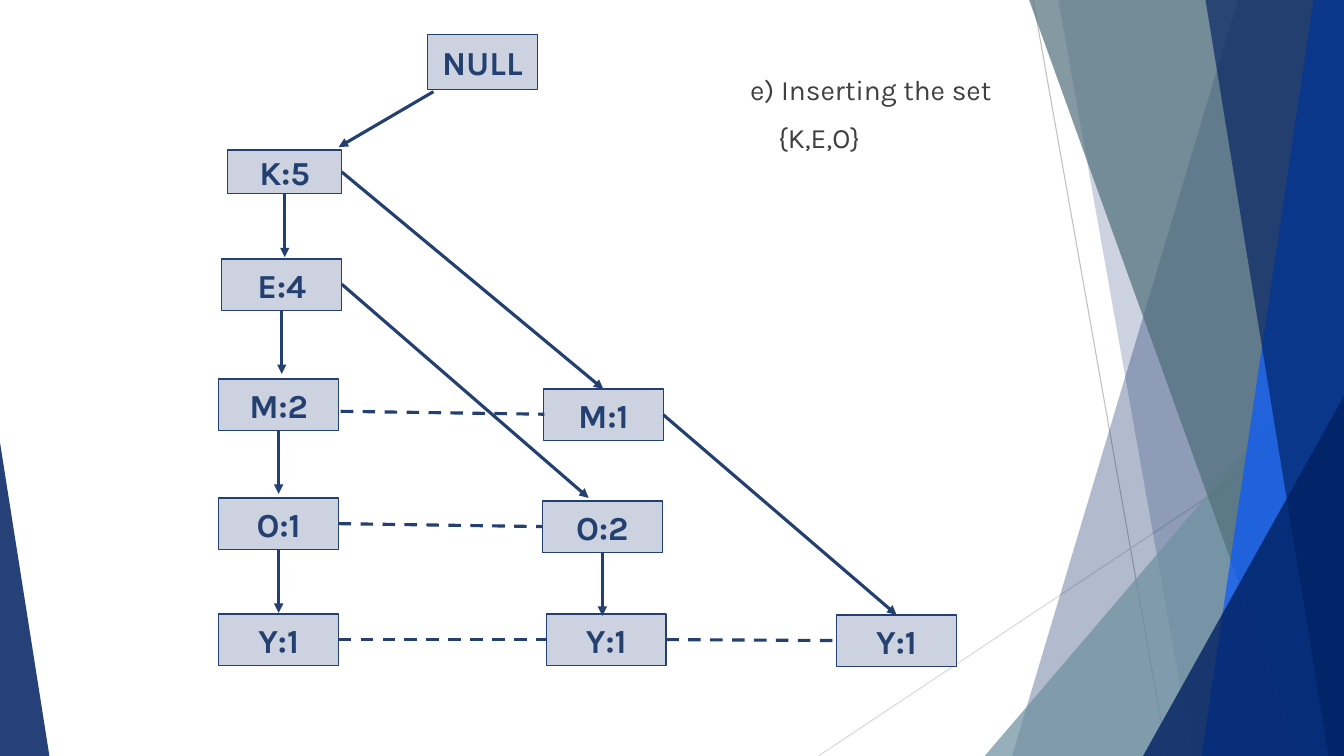
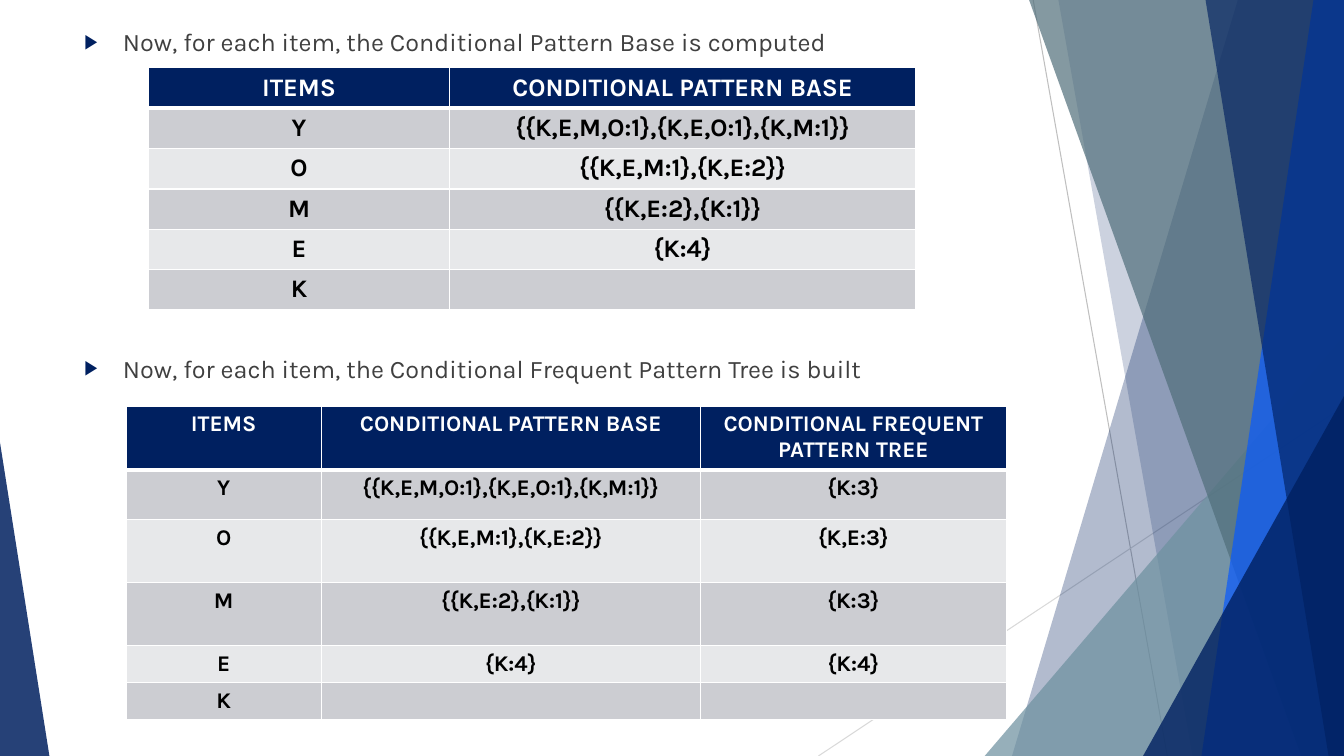
"""Build two slides on frequent pattern trees."""
from dataclasses import dataclass

from lxml import etree
from pptx import Presentation
from pptx.dml.color import RGBColor
from pptx.enum import dml, shapes, text
from pptx.oxml.ns import qn
from pptx.util import Pt


@dataclass(frozen=True)
class Theme:
    font: str = "Karla"
    navy: str = "002060"
    blue: str = "0759FF"
    teal: str = "6E91A0"
    slate: str = "506E7A"
    ink: str = "234070"
    node: str = "CCD2DF"
    body: str = "404040"
    white: str = "FFFFFF"
    black: str = "000000"
    bands: tuple = ("CCCDD2", "E7E8EA")
    rules: tuple = ("BFBFBF", "D9D9D9")
    node_size: int = 24
    note_size: int = 20
    bullet_size: int = 18
    small_size: int = 16


T = Theme()
W, H = 960, 540

GUIDES = [(738, 0, 833.8, H), (W, 290.2, 584.6, H)]
FACETS = [
    ("quad", (884.2, 722.9), T.navy, 30),
    ("quad", (756, 851.8), T.navy, 20),
    ("triangle", (703.4, 239.8, 256.6, 1), T.teal, 72),
    ("quad", (735.1, 929.5), T.slate, 70),
    ("quad", (938.2, 858.2), T.blue, 70),
    ("quad", (861.1, 949), T.navy, 65),
    ("triangle", (816.5, 283, 143.5, 1), T.navy, 80),
    ("triangle", (0, 316.1, 35.3, 0), T.navy, 85),
]

NODE_W, NODE_H = 85.7, 36.7
NODES = {
    "root": ("NULL", 305.3, 24.5, 78.5, 39.6),
    "k": ("K:5", 162.7, 107.3, 81.4, 31),
    "e": ("E:4", 158.4, 185, NODE_W, NODE_H),
    "m": ("M:2", 156.2, 270.7, NODE_W, NODE_H),
    "o": ("O:1", 156.2, 355.7, NODE_W, NODE_H),
    "y": ("Y:1", 156.2, 438.5, NODE_W, NODE_H),
    "o_mid": ("O:2", 387.4, 357.8, NODE_W, NODE_H),
    "y_mid": ("Y:1", 390.2, 438.5, NODE_W, NODE_H),
    "y_right": ("Y:1", 597.6, 439.2, NODE_W, NODE_H),
    "m_mid": ("M:1", 388.1, 277.9, NODE_W, NODE_H),
}
DROP = 45.4
DROPS = ["k", "e", "m", "o", "o_mid"]
BRANCHES = [("k", "m_mid"), ("m_mid", "y_right")]
SAME_ITEM = [("o", "o_mid"), ("y", "y_mid"), ("y_mid", "y_right")]
FREE_ARROWS = [(309.6, 65.5, 241.9, 105.1), (244.1, 203, 420.5, 355.7)]
FREE_DASHES = [(243.4, 293.8, 388.8, 295.9)]
NOTE = [("e) Inserting the set", 4.5), ("{K,E,O}", 24.5)]

BULLETS = [
    (15.1, "Now, for each item, the Conditional Pattern Base is computed"),
    (248.5, "Now, for each item, the Conditional Frequent Pattern Tree is built"),
]
HEAD = ["ITEMS", "CONDITIONAL PATTERN BASE", "CONDITIONAL FREQUENT PATTERN TREE"]
PATTERNS = [
    ("Y", "{{K,E,M,O:1},{K,E,O:1},{K,M:1}}", "{K:3}"),
    ("O", "{{K,E,M:1},{K,E:2}}", "{K,E:3}"),
    ("M", "{{K,E:2},{K:1}}", "{K:3}"),
    ("E", "{K:4}", "{K:4}"),
    ("K", "", ""),
]
TABLES = [
    (106, 48.5, [215.3, 332.6], [27.5] + [28.4] * 5, T.bullet_size),
    (90, 290, [139.5, 270.8, 218.6], [44, 35.5, 45, 45, 26, 26], T.small_size),
]


def rgb(color):
    return RGBColor.from_string(color)


def style(p, size, color, bold=False):
    for r in p.runs:
        f = r.font
        f.name, f.size, f.bold = T.font, Pt(size), bold
        f.color.rgb = rgb(color)


def add_line(s, ends, color, width, dashed=False, arrow=False):
    c = s.shapes.add_connector(shapes.MSO_CONNECTOR.STRAIGHT, *map(Pt, ends))
    c.line.color.rgb, c.line.width = rgb(color), Pt(width)
    if dashed:
        c.line.dash_style = dml.MSO_LINE.DASH
    if arrow:
        etree.SubElement(c.line._get_or_add_ln(), qn("a:tailEnd"), type="triangle")
    etree.SubElement(c._element.spPr, qn("a:effectLst"))


def add_facet(s, kind, geometry, color, opacity):
    if kind == "quad":
        top, bottom = geometry
        fb = s.shapes.build_freeform(Pt(top), 0, 1)
        fb.add_line_segments([(Pt(W), 0), (Pt(W), Pt(H)), (Pt(bottom), Pt(H))])
        sp = fb.convert_to_shape()
    else:
        x, y, w, apex = geometry
        sp = s.shapes.add_shape(shapes.MSO_SHAPE.ISOSCELES_TRIANGLE,
                                Pt(x), Pt(y), Pt(w), Pt(H - y))
        sp.adjustments[0] = apex
    sp.shadow.inherit = False
    sp.fill.solid()
    sp.fill.fore_color.rgb = rgb(color)
    clr = sp._element.spPr.find(".//" + qn("a:srgbClr"))
    etree.SubElement(clr, qn("a:alpha"), val=str(opacity * 1000))
    sp.line.fill.background()


def add_slide(prs):
    s = prs.slides.add_slide(prs.slide_layouts[6])
    for ends, color in zip(GUIDES, T.rules):
        add_line(s, ends, color, 0.75)
    for facet in FACETS:
        add_facet(s, *facet)
    return s


def add_text(s, x, y, w, h):
    tf = s.shapes.add_textbox(Pt(x), Pt(y), Pt(w), Pt(h)).text_frame
    tf.word_wrap = True
    return tf


def indent(p, left, first=0):
    pPr = p._p.get_or_add_pPr()
    pPr.set("marL", str(Pt(left)))
    pPr.set("indent", str(Pt(first)))
    return pPr


def add_node(s, label, x, y, w, h):
    sp = s.shapes.add_shape(shapes.MSO_SHAPE.RECTANGLE, Pt(x), Pt(y), Pt(w), Pt(h))
    sp.shadow.inherit = False
    sp.fill.solid()
    sp.fill.fore_color.rgb = rgb(T.node)
    sp.line.color.rgb, sp.line.width = rgb(T.ink), Pt(1)
    tf = sp.text_frame
    tf.text = label
    tf.vertical_anchor = text.MSO_ANCHOR.MIDDLE
    p = tf.paragraphs[0]
    p.alignment = text.PP_ALIGN.CENTER
    style(p, T.node_size, T.ink, True)


def site(key, side):
    _, x, y, w, h = NODES[key]
    return {"top": (x + w / 2, y), "bottom": (x + w / 2, y + h),
            "left": (x, y + h / 2), "right": (x + w, y + h / 2)}[side]


def tree_slide(prs):
    s = add_slide(prs)
    tf = add_text(s, 524.2, 48.2, 205.9, 248.4)
    for i, (line, left) in enumerate(NOTE):
        p = tf.add_paragraph() if i else tf.paragraphs[0]
        p.text = line
        p.space_before = Pt(10)
        indent(p, left)
        style(p, T.note_size, T.body)
    for node in NODES.values():
        add_node(s, *node)
    arrows = list(FREE_ARROWS)
    for key in DROPS:
        x, y = site(key, "bottom")
        arrows.append((x, y, x, y + DROP))
    arrows += [site(a, "right") + site(b, "top") for a, b in BRANCHES]
    dashes = FREE_DASHES + [site(a, "right") + site(b, "left") for a, b in SAME_ITEM]
    for ends in arrows:
        add_line(s, ends, T.ink, 2.25, arrow=True)
    for ends in dashes:
        add_line(s, ends, T.ink, 2.25, dashed=True)


def add_bullet(s, y, line):
    p = add_text(s, 53.3, y, 676.8, 30).paragraphs[0]
    p.text = line
    p.space_before = Pt(10)
    pPr = indent(p, 27.4, -27.4)
    clr = etree.SubElement(pPr, qn("a:buClr"))
    etree.SubElement(clr, qn("a:srgbClr"), val=T.navy)
    etree.SubElement(pPr, qn("a:buSzPct"), val="80000")
    etree.SubElement(pPr, qn("a:buFont"), typeface="Arial")
    etree.SubElement(pPr, qn("a:buChar"), char="▶")
    style(p, T.bullet_size, T.body)


def set_borders(cell, widths):
    tcPr = cell._tc.get_or_add_tcPr()
    for i, (side, width) in enumerate(widths.items()):
        ln = etree.Element(qn("a:ln" + side), w=str(Pt(width)))
        fill = etree.SubElement(ln, qn("a:solidFill"))
        etree.SubElement(fill, qn("a:srgbClr"), val=T.white)
        tcPr.insert(i, ln)


def add_pattern_table(s, x, y, cols, rows, size):
    tbl = s.shapes.add_table(len(rows), len(cols), Pt(x), Pt(y),
                             Pt(sum(cols)), Pt(sum(rows))).table
    for col, w in zip(tbl.columns, cols):
        col.width = Pt(w)
    for row, h in zip(tbl.rows, rows):
        row.height = Pt(h)
    for i, values in enumerate([HEAD] + PATTERNS):
        for j, value in enumerate(values[:len(cols)]):
            cell = tbl.cell(i, j)
            cell.fill.solid()
            cell.fill.fore_color.rgb = rgb(T.bands[(i - 1) % 2] if i else T.navy)
            set_borders(cell, {"L": 1, "R": 1, "T": 3 if i == 1 else 1, "B": 1 if i else 3})
            p = cell.text_frame.paragraphs[0]
            p.alignment = text.PP_ALIGN.CENTER
            if value:
                p.text = value
                style(p, size, T.black if i else T.white, True)
            else:
                etree.SubElement(p._p, qn("a:endParaRPr"), sz=str(size * 100))


def pattern_slide(prs):
    s = add_slide(prs)
    for bullet in BULLETS:
        add_bullet(s, *bullet)
    for table in TABLES:
        add_pattern_table(s, *table)


def main():
    prs = Presentation()
    prs.slide_width, prs.slide_height = Pt(W), Pt(H)
    tree_slide(prs)
    pattern_slide(prs)
    prs.save("out.pptx")


if __name__ == "__main__":
    main()
